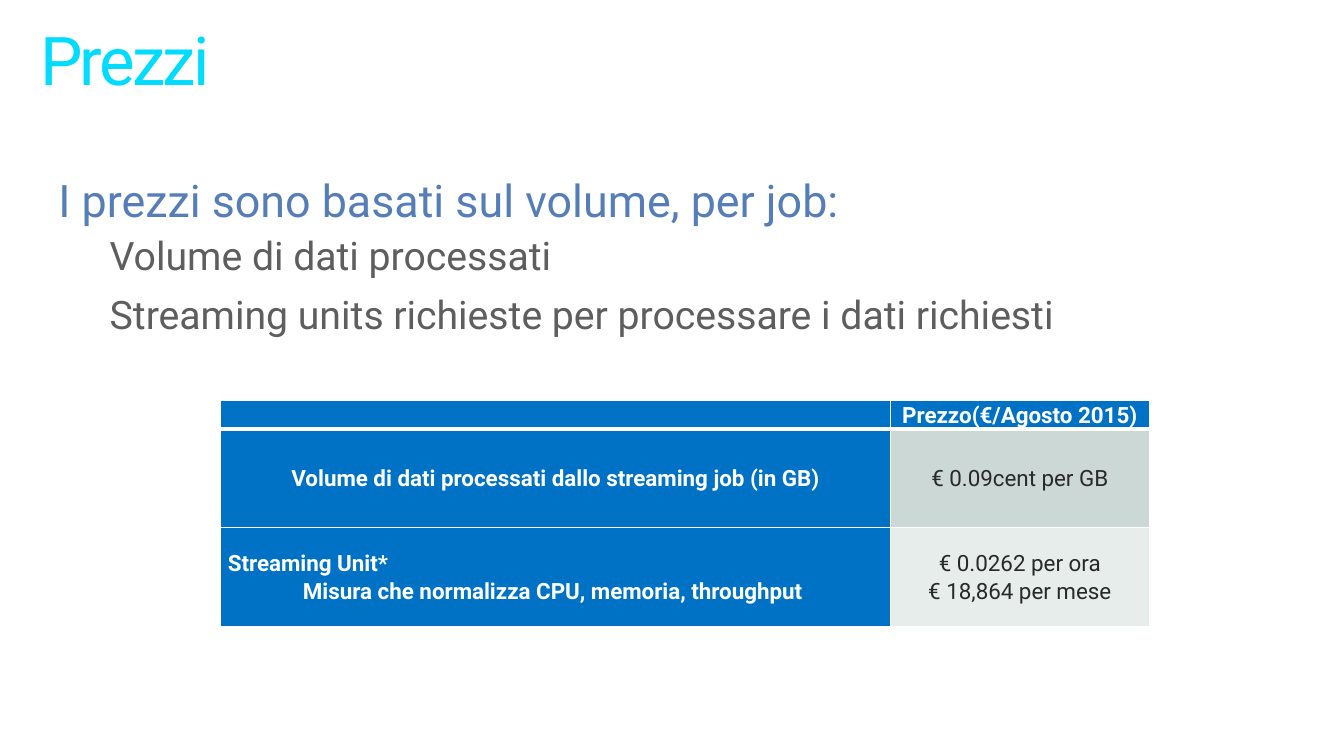
import pptx
import pptx.dml.color
import pptx.enum.text
import pptx.oxml
import pptx.oxml.ns
import pptx.util

RGBColor = pptx.dml.color.RGBColor
CYAN = RGBColor(0x00, 0xDC, 0xFF)
STEEL = RGBColor(0x55, 0x7E, 0xB9)
GREY = RGBColor(0x5E, 0x5E, 0x5E)
BLUE = RGBColor(0x00, 0x72, 0xC6)
SAGE = RGBColor(0xCC, 0xD8, 0xD5)
PALE_SAGE = RGBColor(0xE7, 0xED, 0xEB)
DARK = RGBColor(0x29, 0x29, 0x29)
WHITE = RGBColor(0xFF, 0xFF, 0xFF)

FONT = "Roboto"
Inches = pptx.util.Inches
Pt = pptx.util.Pt
LEFT = pptx.enum.text.PP_ALIGN.LEFT
CENTER = pptx.enum.text.PP_ALIGN.CENTER

COLUMN_WIDTHS = (6.64, 2.57)
ROW_HEIGHTS = (0.28, 0.98, 0.98)
# Each cell: fill, font colour, bold, lines with their alignment
PRICE_ROWS = (
    ((BLUE, WHITE, True, (("", CENTER),)),
     (BLUE, WHITE, True, (("Prezzo(€/Agosto 2015)", CENTER),))),
    ((BLUE, WHITE, True,
      (("Volume di dati processati dallo streaming job (in GB)", CENTER),)),
     (SAGE, DARK, False, (("€ 0.09cent per GB", CENTER),))),
    ((BLUE, WHITE, True,
      (("Streaming Unit*", LEFT),
       ("Misura che normalizza CPU, memoria, throughput ", CENTER))),
     (PALE_SAGE, DARK, False,
      (("€ 0.0262 per ora", CENTER), ("€ 18,864 per mese", CENTER)))),
)


def style_font(paragraph, size, color, bold=False):
    font = paragraph.font
    font.name = FONT
    font.size = Pt(size)
    font.bold = bold
    font.color.rgb = color


def add_text_frame(slide, left, top, width, height, side_inset, top_inset):
    box = slide.shapes.add_textbox(*map(Inches, (left, top, width, height)))
    frame = box.text_frame
    frame.word_wrap = True
    frame.margin_left = frame.margin_right = Inches(side_inset)
    frame.margin_top = Inches(top_inset)
    return frame


def add_title(slide, text):
    frame = add_text_frame(slide, 0.25, 0.17, 12.82, 1.32, 0.15, 0.1)
    paragraph = frame.paragraphs[0]
    run = paragraph.add_run()
    run.text = text
    paragraph.line_spacing = 0.9
    style_font(paragraph, 48, CYAN)
    run.font.size = Pt(48)
    run.font._element.set("spc", "-200")


def add_body(slide, heading, points):
    frame = add_text_frame(slide, 0.48, 1.63, 12.61, 5.64, 0.1, 0.08)
    paragraph = frame.paragraphs[0]
    paragraph.text = heading
    style_font(paragraph, 32, STEEL)
    for point in points:
        paragraph = frame.add_paragraph()
        paragraph.text = point
        paragraph.level = 1
        paragraph.space_before = paragraph.space_after = Pt(4)
        properties = paragraph._p.get_or_add_pPr()
        properties.set("marL", str(Inches(0.51)))
        properties.set("indent", "0")
        style_font(paragraph, 28, GREY)


def set_borders(cell, widths):
    properties = cell._tc.get_or_add_tcPr()
    for position, (side, width) in enumerate(zip("LRTB", widths)):
        border = pptx.oxml.parse_xml(
            f'<a:ln{side} {pptx.oxml.ns.nsdecls("a")} w="{Pt(width)}">'
            f'<a:solidFill><a:srgbClr val="{WHITE}"/></a:solidFill></a:ln{side}>')
        properties.insert(position, border)


def fill_cell(cell, fill, color, bold, lines):
    cell.fill.solid()
    cell.fill.fore_color.rgb = fill
    cell.margin_left = cell.margin_right = Inches(0.07)
    cell.margin_top = cell.margin_bottom = 0
    cell.vertical_anchor = pptx.enum.text.MSO_ANCHOR.MIDDLE
    cell.text_frame.text = "\n".join(text for text, _ in lines)
    for paragraph, (_, alignment) in zip(cell.text_frame.paragraphs, lines):
        paragraph.alignment = alignment
        paragraph.line_spacing = 1.07
        style_font(paragraph, 16, color, bold)


def add_price_table(slide):
    table = slide.shapes.add_table(
        len(ROW_HEIGHTS), len(COLUMN_WIDTHS), Inches(2.19), Inches(3.97),
        Inches(sum(COLUMN_WIDTHS)), Inches(sum(ROW_HEIGHTS))).table
    table.horz_banding = False
    for column, width in zip(table.columns, COLUMN_WIDTHS):
        column.width = Inches(width)
    for index, (row, height) in enumerate(zip(table.rows, ROW_HEIGHTS)):
        row.height = Inches(height)
        # A thick rule separates the header from the prices
        top, bottom = {0: (1, 3), 1: (3, 1)}.get(index, (1, 1))
        for cell, content in zip(row.cells, PRICE_ROWS[index]):
            fill_cell(cell, *content)
            set_borders(cell, (1, 1, top, bottom))


def main():
    presentation = pptx.Presentation()
    presentation.slide_width = Inches(13.33)
    presentation.slide_height = Inches(7.5)
    slide = presentation.slides.add_slide(presentation.slide_layouts[6])
    add_title(slide, "Prezzi")
    add_body(slide, "I prezzi sono basati sul volume, per job:", (
        "Volume di dati processati",
        "Streaming units richieste per processare i dati richiesti"))
    add_price_table(slide)
    presentation.save("out.pptx")


main()
